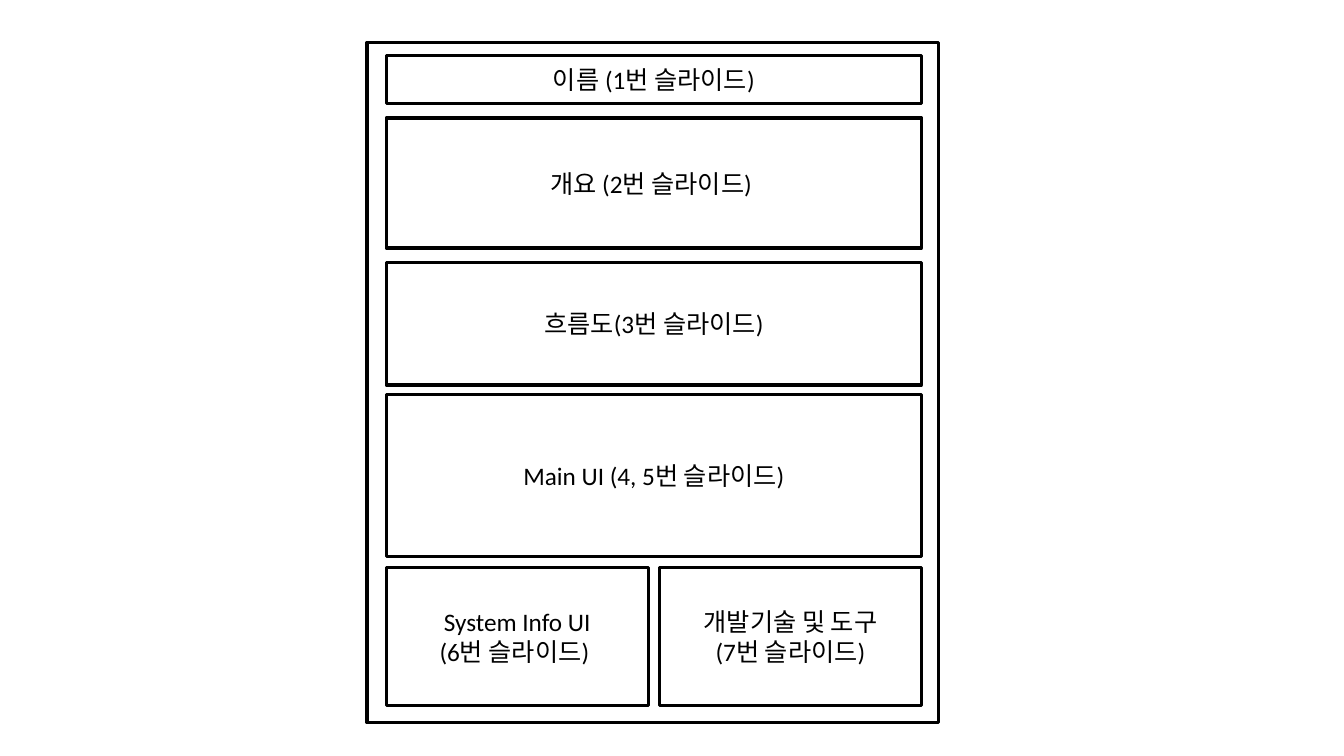
from dataclasses import dataclass

from pptx import Presentation
from pptx.dml.color import RGBColor
from pptx.enum.shapes import MSO_SHAPE as Shape
from pptx.enum.text import MSO_ANCHOR as Anchor, PP_ALIGN as Align
from pptx.util import Inches, Pt

# Each row: top, height, labels of its boxes from left to right
ROWS = [
    (0.55, 0.48, ["이름 (1번 슬라이드)"]),
    (1.17, 1.29, ["개요 (2번 슬라이드) "]),
    (2.60, 1.22, ["흐름도(3번 슬라이드)"]),
    (3.91, 1.61, ["Main UI (4, 5번 슬라이드)"]),
    (5.63, 1.37, ["System Info UI\n(6번 슬라이드) ",
                  "개발기술 및 도구\n(7번 슬라이드)"]),
]
PAGE = (3.64, 0.42, 5.67, 6.75)
LEFT, WIDTH, GAP = 3.83, 5.31, 0.11


@dataclass(frozen=True)
class Theme:
    ink: RGBColor = RGBColor(0, 0, 0)
    font: str = "Calibri"
    size: float = 18
    line: float = 2.25


THEME = Theme()


def add_box(slide, left, top, width, height):
    """Add an unfilled, outlined rectangle."""
    box = slide.shapes.add_shape(
        Shape.RECTANGLE, *map(Inches, (left, top, width, height)))
    box.shadow.inherit = False
    box.fill.background()
    box.line.color.rgb = THEME.ink
    box.line.width = Pt(THEME.line)
    return box


def put_text(box, text, size=THEME.size, color=THEME.ink, align=Align.CENTER):
    frame = box.text_frame
    frame.word_wrap = True
    frame.vertical_anchor = Anchor.MIDDLE
    para = frame.paragraphs[0]
    para.text = text
    para.alignment = align
    for run in para.runs:
        run.font.name = THEME.font
        run.font.size = Pt(size)
        run.font.color.rgb = color


def main():
    deck = Presentation()
    deck.slide_width, deck.slide_height = Inches(13.33), Inches(7.5)
    slide = deck.slides.add_slide(deck.slide_layouts[6])
    add_box(slide, *PAGE)
    for top, height, labels in ROWS:
        count = len(labels)
        width = (WIDTH - GAP * (count - 1)) / count
        for col, label in enumerate(labels):
            left = LEFT + col * (width + GAP)
            put_text(add_box(slide, left, top, width, height), label)
    deck.save("out.pptx")


if __name__ == "__main__":
    main()
